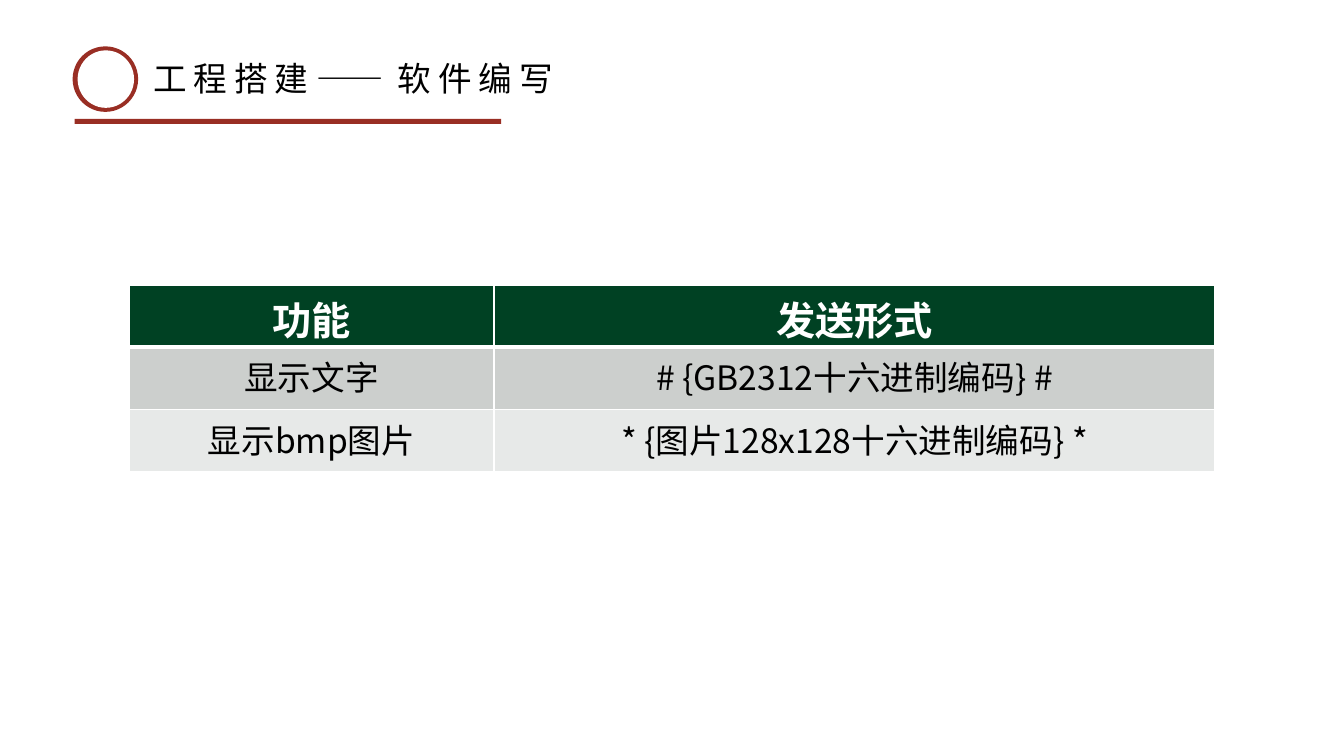
"""Build the slide that lists the send formats for text and bitmap display."""
import pptx
import pptx.dml.color
import pptx.enum.shapes
import pptx.enum.text
import pptx.oxml.ns
import pptx.util
from lxml import etree

Inches = pptx.util.Inches
Pt = pptx.util.Pt
RGB = pptx.dml.color.RGBColor.from_string
SHAPE = pptx.enum.shapes.MSO_SHAPE
qn = pptx.oxml.ns.qn

THEME = {
    "red": RGB("992E24"),
    "white": RGB("FFFFFF"),
    "black": RGB("000000"),
    "header": RGB("004123"),
    "bands": [RGB("CCCFCD"), RGB("E7E9E8")],
    "body_font": "Noto Sans CJK SC",
    "accent_font": "Comic Neue",
    "header_size": Pt(28),
    "text_size": Pt(24),
}


def add_run(p, text, font, color, spacing=0, **formats):
    r = p.add_run()
    r.text = text
    for name, value in {"name": font, **formats}.items():
        setattr(r.font, name, value)
    r.font.color.rgb = color
    rPr = r._r.get_or_add_rPr()
    if spacing:
        rPr.set("spc", str(spacing * 100))
    etree.SubElement(rPr, qn("a:ea")).set("typeface", font)


prs = pptx.Presentation()
prs.slide_width, prs.slide_height = Inches(13.33), Inches(7.5)
s = prs.slides.add_slide(prs.slide_layouts[6])

ornaments = [
    (SHAPE.OVAL, (0.72, 0.46, 0.65, 0.65), "red"),
    (SHAPE.OVAL, (0.77, 0.5, 0.56, 0.57), "white"),
    (SHAPE.RECTANGLE, (0.74, 1.18, 4.23, 0.05), "red"),
]
for kind, box, color in ornaments:
    sp = s.shapes.add_shape(kind, *map(Inches, box))
    sp.shadow.inherit = False
    sp.fill.solid()
    sp.fill.fore_color.rgb = THEME[color]
    sp.line.fill.background()

titles = [
    ((1.42, 0.53, 1.83, 0.5), [("工程搭建", "body_font")]),
    ((3.04, 0.53, 2.64, 0.5), [("——", "body_font"), ("软件编写", "accent_font")]),
]
for box, runs in titles:
    tf = s.shapes.add_textbox(*map(Inches, box)).text_frame
    tf.word_wrap = False
    tf.auto_size = pptx.enum.text.MSO_AUTO_SIZE.SHAPE_TO_FIT_TEXT
    for text, font in runs:
        add_run(tf.paragraphs[0], text, THEME[font], THEME["black"], spacing=5, size=THEME["text_size"])

rows = [
    ("功能", "发送形式"),
    ("显示文字", "# {GB2312十六进制编码} #"),
    ("显示bmp图片", "* {图片128x128十六进制编码} *"),
]
table = s.shapes.add_table(3, 2, *map(Inches, (1.28, 2.83, 10.77, 1.84))).table
for column, width in zip(table.columns, (3.62, 7.15)):
    column.width = Inches(width)
for row, height in zip(table.rows, (0.61, 0.62, 0.62)):
    row.height = Inches(height)

for i, texts in enumerate(rows):
    is_header = i == 0
    for j, text in enumerate(texts):
        cell = table.cell(i, j)
        tcPr = cell._tc.get_or_add_tcPr()
        for side in "LRTB":
            thick = (i, side) in [(0, "B"), (1, "T")]
            ln = etree.SubElement(tcPr, qn(f"a:ln{side}"), w=str(Pt(3 if thick else 1)))
            fill = etree.SubElement(ln, qn("a:solidFill"))
            etree.SubElement(fill, qn("a:srgbClr"), val=str(THEME["white"]))
        cell.fill.solid()
        cell.fill.fore_color.rgb = THEME["header"] if is_header else THEME["bands"][i - 1]
        p = cell.text_frame.paragraphs[0]
        p.alignment = pptx.enum.text.PP_ALIGN.CENTER
        add_run(p, text, THEME["body_font"], THEME["white" if is_header else "black"],
                size=THEME["header_size" if is_header else "text_size"], bold=is_header)

prs.save("out.pptx")
